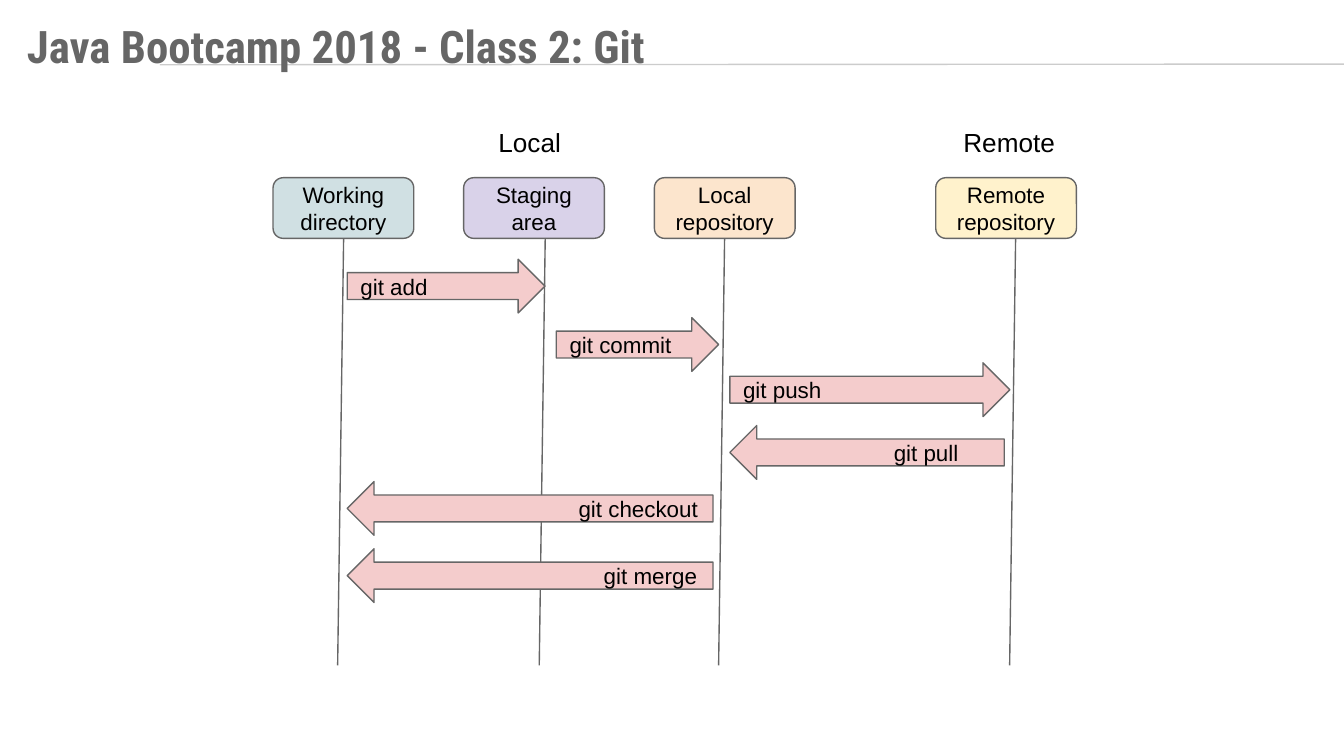
from dataclasses import dataclass

from lxml import etree
from pptx import Presentation
from pptx.dml.color import RGBColor
from pptx.enum import shapes, text
from pptx.oxml.ns import qn
from pptx.util import Pt


@dataclass(frozen=True)
class Theme:
    ink: str = "000000"
    grey: str = "666666"
    rule: str = "CCCCCC"
    arrow: str = "F4CCCC"
    work: str = "D0E0E3"
    stage: str = "D9D2E9"
    local: str = "FCE5CD"
    remote: str = "FFF2CC"
    head: float = 24
    label: float = 14
    body: float = 12
    line: float = 0.75


theme = Theme()
LEFT, MID, RIGHT = text.PP_ALIGN.LEFT, text.PP_ALIGN.CENTER, text.PP_ALIGN.RIGHT
TOP, CENTRE = text.MSO_ANCHOR.TOP, text.MSO_ANCHOR.MIDDLE
PAD = 7.2


def write(shape, words, size, align=LEFT, anchor=TOP, pad=PAD, font="Arial", ink=theme.ink):
    """Fill a shape with one paragraph; pad is its right inset."""
    frame = shape.text_frame
    frame.text = words
    frame.word_wrap = True
    frame.auto_size = text.MSO_AUTO_SIZE.NONE
    frame.vertical_anchor = anchor
    frame.margin_left = frame.margin_top = frame.margin_bottom = Pt(PAD)
    frame.margin_right = Pt(pad)
    para = frame.paragraphs[0]
    para.alignment = align
    para.font.name = font
    para.font.size = Pt(size)
    para.font.color.rgb = RGBColor.from_string(ink)
    return para


def draw(start, end, ink):
    """Add a thin straight line without a shadow."""
    line = slide.shapes.add_connector(
        shapes.MSO_CONNECTOR.STRAIGHT, *[Pt(n) for n in (*start, *end)])
    line.line.color.rgb = RGBColor.from_string(ink)
    line.line.width = Pt(theme.line)
    etree.SubElement(line.element.spPr, qn("a:effectLst"))
    return line


deck = Presentation()
deck.slide_width, deck.slide_height = Pt(720), Pt(405)
slide = deck.slides.add_slide(deck.slide_layouts[5])

# Title, with its rule behind it
title = slide.shapes.title
title.left, title.top, title.width, title.height = Pt(7.2), Pt(2.9), Pt(443), Pt(36)
write(title, "Java Bootcamp 2018 - Class 2: Git", theme.head,
      font="Roboto Condensed", ink=theme.grey).font.bold = True
rule = draw((85.7, 34.7), (777.6, 34.3), theme.rule)
title.element.addprevious(rule.element)

# Sides
for words, left in (("Local", 259.9), ("Remote", 509)):
    box = slide.shapes.add_textbox(Pt(left), Pt(60.5), Pt(70), Pt(24))
    write(box, words, theme.label)

# Places, each with its lifeline: name, left, line top, fill
places = (
    ("Working directory", 146.3, 184.1, theme.work),
    ("Staging area", 248.4, 292.1, theme.stage),
    ("Local repository", 350.6, 388.2, theme.local),
    ("Remote repository", 501.3, 544.1, theme.remote),
)
boxtop, boxhigh, foot, lean = 95.2, 32.5, 356.5, 3.2
for words, left, stem, fill in places:
    box = slide.shapes.add_shape(
        shapes.MSO_SHAPE.ROUNDED_RECTANGLE, Pt(left), Pt(boxtop), Pt(75.4), Pt(boxhigh))
    box.shadow.inherit = False
    box.fill.solid()
    box.fill.fore_color.rgb = RGBColor.from_string(fill)
    box.line.color.rgb = RGBColor.from_string(theme.grey)
    box.line.width = Pt(theme.line)
    write(box, words, theme.body, MID, CENTRE)
    draw((stem, boxtop + boxhigh), (stem - lean, foot), theme.grey)

# Commands: name, left, top, width, right inset, direction
FORTH, BACK = shapes.MSO_SHAPE.RIGHT_ARROW, shapes.MSO_SHAPE.LEFT_ARROW
steps = (
    ("git add", 186, 138.9, 106, PAD, FORTH),
    ("git commit", 298, 170.2, 87, PAD, FORTH),
    ("git push", 391, 194.4, 150, PAD, FORTH),
    ("git pull", 391, 228, 147, 24.5, BACK),
    ("git checkout", 186, 258, 196, 8, BACK),
    ("git merge", 186, 294, 196, 8.5, BACK),
)
for words, left, top, wide, pad, kind in steps:
    arrow = slide.shapes.add_shape(kind, Pt(left), Pt(top), Pt(wide), Pt(28.8))
    arrow.shadow.inherit = False
    arrow.fill.solid()
    arrow.fill.fore_color.rgb = RGBColor.from_string(theme.arrow)
    arrow.line.color.rgb = RGBColor.from_string(theme.grey)
    arrow.line.width = Pt(theme.line)
    write(arrow, words, theme.body, RIGHT if kind == BACK else LEFT, CENTRE, pad)

deck.save("out.pptx")
